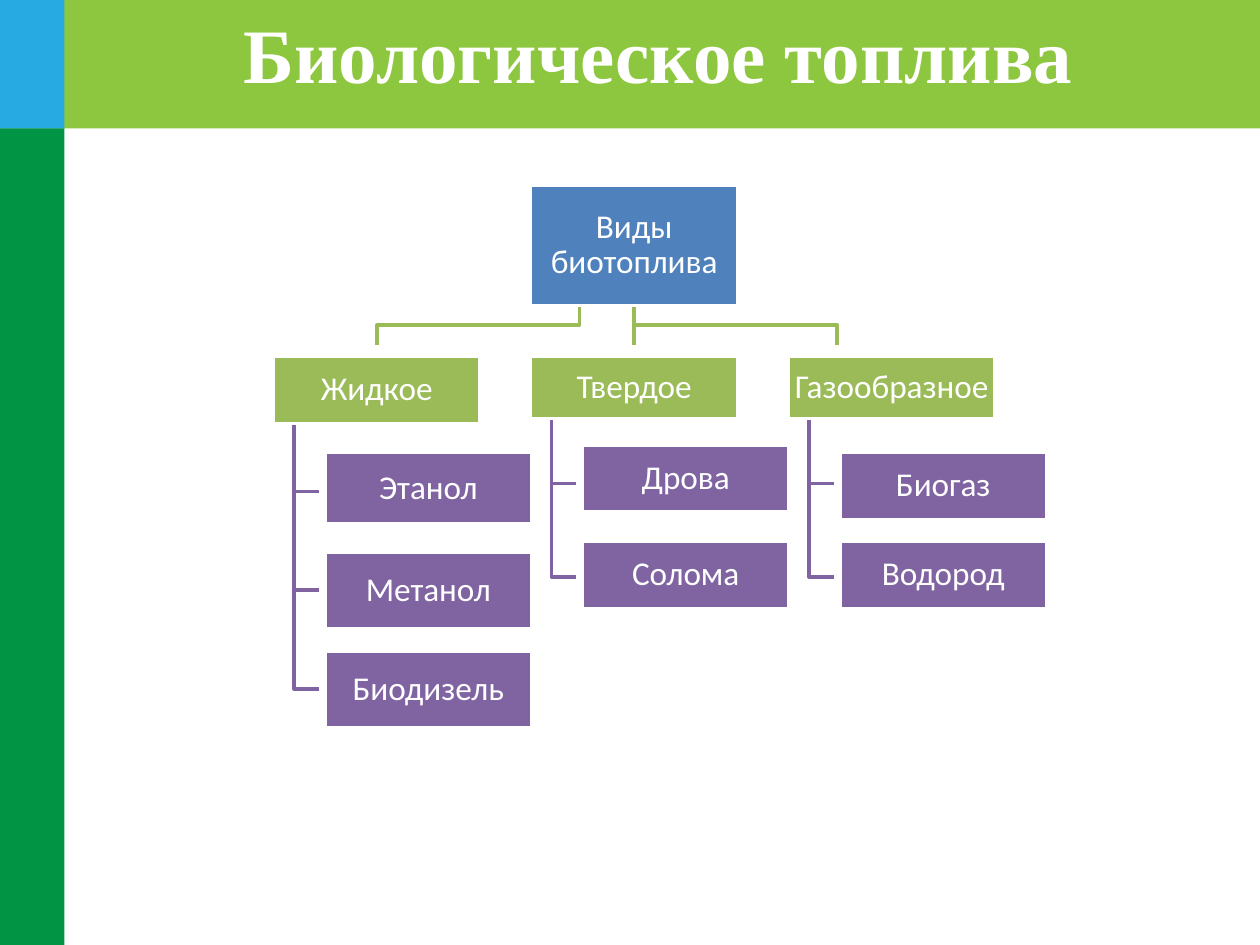
from lxml import etree
from pptx import Presentation
from pptx.dml.color import RGBColor
from pptx.enum.shapes import MSO_CONNECTOR, MSO_SHAPE
from pptx.enum.text import MSO_ANCHOR, PP_ALIGN
from pptx.oxml.ns import qn
from pptx.util import Cm, Pt

RECTANGLE = MSO_SHAPE.RECTANGLE
STRAIGHT = MSO_CONNECTOR.STRAIGHT
CENTER = PP_ALIGN.CENTER
TOP, MIDDLE = MSO_ANCHOR.TOP, MSO_ANCHOR.MIDDLE

COLORS = {
    "side": "019444",
    "header": "8DC73F",
    "corner": "27AAE2",
    "root": "4F81BD",
    "kind": "9BBB59",
    "fuel": "8064A2",
    "white": "FFFFFF",
}

# Lengths in centimetres
SLIDE_WIDTH, SLIDE_HEIGHT = 25.4, 19.05
SIDE_WIDTH, HEADER_HEIGHT = 1.3, 2.59
BOX_WIDTH = 4.17
KIND_LEFT, KIND_TOP, KIND_PITCH = 5.51, 7.19, 5.19
ROOT_TOP, ROOT_HEIGHT = 3.73, 2.43
FUEL_INDENT, TRUNK_INDENT, STUB = 1.04, 0.42, 0.5
BRANCH_TOP, BRANCH_MIDDLE, BRANCH_BOTTOM = 6.15, 6.55, 6.96

# Kind, box height, then (fuel, top, height, height at which its line joins)
KINDS = [
    ("Жидкое", 1.35, [("Этанол", 9.12, 1.45, 9.91),
                      ("Метанол", 11.13, 1.55, 11.89),
                      ("Биодизель", 13.13, 1.55, 13.89)]),
    ("Твердое", 1.25, [("Дрова", 8.97, 1.35, 9.75),
                       ("Солома", 10.92, 1.35, 11.63)]),
    ("Газообразное", 1.25, [("Биогаз", 9.12, 1.35, 9.75),
                            ("Водород", 10.92, 1.35, 11.63)]),
]


class SlideBuilder:
    def __init__(self, slide):
        self.slide = slide
        self.line_width = Pt(2)

    def color(self, name):
        return RGBColor.from_string(COLORS[name])

    def add_text(self, frame, text, font_name, size, bold=False):
        paragraph = frame.paragraphs[0]
        paragraph.alignment = CENTER
        run = paragraph.add_run()
        run.text = text
        run.font.name = font_name
        run.font.size = Pt(size)
        run.font.bold = bold
        run.font.color.rgb = self.color("white")
        return paragraph

    def band(self, color, left, top, width, height):
        band = self.slide.shapes.add_shape(
            RECTANGLE, Cm(left), Cm(top), Cm(width), Cm(height))
        band.shadow.inherit = False
        band.fill.solid()
        band.fill.fore_color.rgb = self.color(color)
        band.line.fill.background()
        return band

    def box(self, text, color, left, top, height):
        box = self.band(color, left, top, BOX_WIDTH, height)
        self.stroke(box, "white")
        frame = box.text_frame
        frame.word_wrap = True
        frame.vertical_anchor = MIDDLE
        frame.margin_left = frame.margin_right = Cm(0.03)
        frame.margin_top = frame.margin_bottom = Cm(0.03)
        self.add_text(frame, text, "Calibri", 19).line_spacing = 0.9

    def title(self, text):
        title = self.slide.shapes.title
        title.left, title.top = Cm(1.22), Cm(0)
        title.width, title.height = Cm(24.1), Cm(2.13)
        title.text_frame.vertical_anchor = TOP
        self.add_text(title.text_frame, text, "Times New Roman", 44, bold=True)
        # The placeholder comes first in the tree; lift it above the bands
        self.slide.shapes.element.append(title.element)

    def stroke(self, shape, color):
        shape.line.color.rgb = self.color(color)
        shape.line.width = self.line_width

    def bent_line(self, color, points):
        start, *rest = [(Cm(x), Cm(y)) for x, y in points]
        builder = self.slide.shapes.build_freeform(*start)
        builder.add_line_segments(rest, close=False)
        bent = builder.convert_to_shape()
        bent.shadow.inherit = False
        bent.fill.background()
        self.stroke(bent, color)

    def straight_line(self, color, x, top, bottom):
        line = self.slide.shapes.add_connector(
            STRAIGHT, Cm(x), Cm(top), Cm(x), Cm(bottom))
        self.stroke(line, color)
        etree.SubElement(line.element.spPr, qn("a:effectLst"))


def draw_branches(builder, root_center):
    """Join the root box to the three kinds of fuel."""
    for start, end in [(11.68, KIND_LEFT + BOX_WIDTH / 2), (root_center, 16.87)]:
        builder.bent_line("kind", [(start, BRANCH_TOP), (start, BRANCH_MIDDLE),
                                   (end, BRANCH_MIDDLE), (end, BRANCH_BOTTOM)])
    builder.straight_line("kind", root_center, BRANCH_TOP, BRANCH_BOTTOM)


def main():
    presentation = Presentation()
    presentation.slide_width = Cm(SLIDE_WIDTH)
    presentation.slide_height = Cm(SLIDE_HEIGHT)
    title_only = presentation.slide_layouts[5]
    builder = SlideBuilder(presentation.slides.add_slide(title_only))

    builder.band("side", 0, 0, SIDE_WIDTH, SLIDE_HEIGHT)
    builder.band("header", 0, 0, SLIDE_WIDTH, HEADER_HEIGHT)
    builder.band("corner", 0, 0, SIDE_WIDTH, HEADER_HEIGHT)
    builder.title("Биологическое топлива")

    root_left = KIND_LEFT + KIND_PITCH
    draw_branches(builder, root_left + BOX_WIDTH / 2)
    builder.box("Виды биотоплива", "root", root_left, ROOT_TOP, ROOT_HEIGHT)

    for column, (kind, kind_height, fuels) in enumerate(KINDS):
        left = KIND_LEFT + column * KIND_PITCH
        trunk = left + TRUNK_INDENT
        kind_bottom = KIND_TOP + kind_height
        for _, _, _, joint in reversed(fuels):
            builder.bent_line("fuel", [(trunk, kind_bottom), (trunk, joint),
                                       (trunk + STUB, joint)])
        builder.box(kind, "kind", left, KIND_TOP, kind_height)
        for fuel, top, height, _ in fuels:
            builder.box(fuel, "fuel", left + FUEL_INDENT, top, height)

    presentation.save("out.pptx")


if __name__ == "__main__":
    main()
